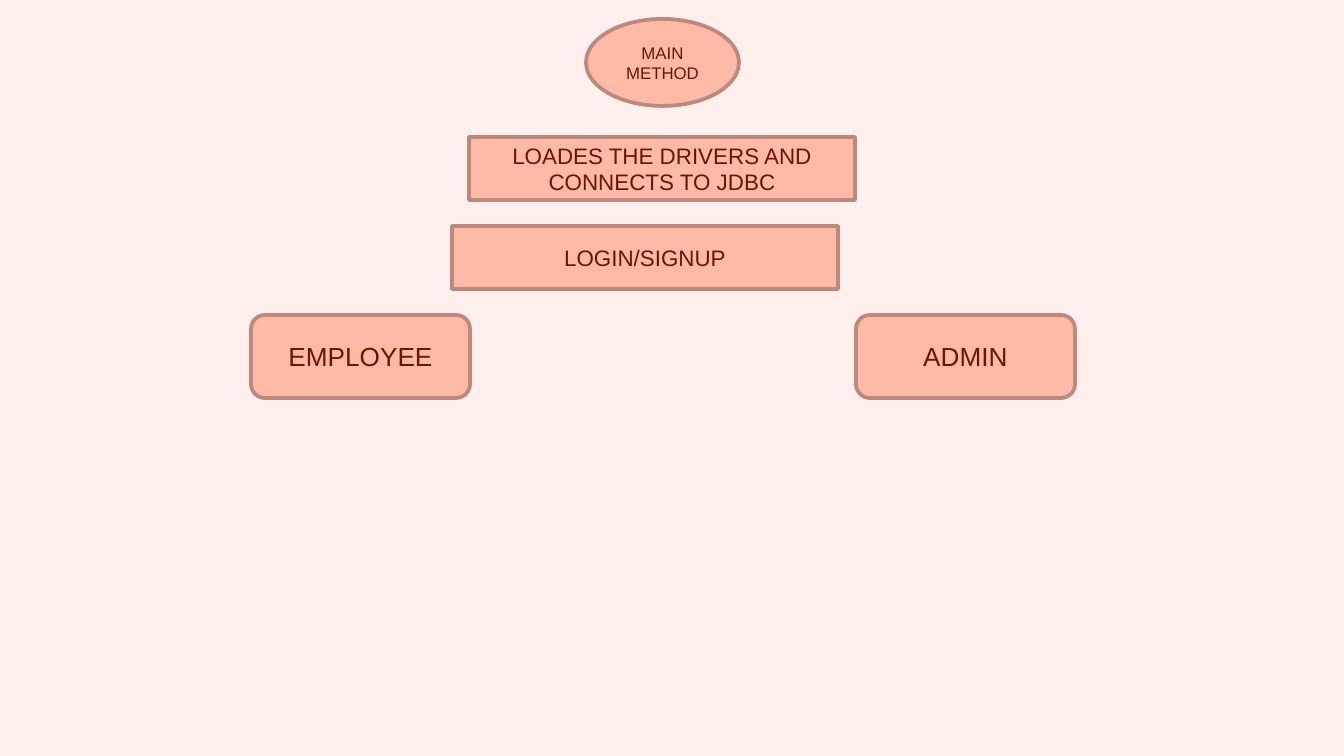
from pptx import Presentation
from pptx.dml.color import RGBColor
from pptx.enum.shapes import MSO_SHAPE
from pptx.enum.text import MSO_ANCHOR, PP_ALIGN
from pptx.util import Pt

PX = 914400 / 134.4
COLORS = {"background": "FFF0ED", "fill": "FFB9A7", "line": "BD897C", "text": "6A1600"}


def emu(px):
    return round(px * PX)


def color(name):
    return RGBColor.from_string(COLORS[name])


def add_node(slide, kind, box, label, size):
    node = slide.shapes.add_shape(kind, *map(emu, box))
    node.shadow.inherit = False
    node.fill.solid()
    node.fill.fore_color.rgb = color("fill")
    node.line.color.rgb = color("line")
    node.line.width = Pt(2)

    frame = node.text_frame
    frame.word_wrap = True
    frame.vertical_anchor = MSO_ANCHOR.MIDDLE
    paragraph = frame.paragraphs[0]
    paragraph.text = label
    paragraph.alignment = PP_ALIGN.CENTER
    paragraph.font.name = "Arial"
    paragraph.font.size = Pt(size)
    paragraph.font.color.rgb = color("text")


def add_startup_steps(slide, left, top):
    """Place the entry point and the two steps that follow it."""
    step_width, step_height = 386, 63
    add_node(slide, MSO_SHAPE.OVAL, (left + 134, top, 153, 87), "MAIN METHOD", 9)
    add_node(slide, MSO_SHAPE.RECTANGLE, (left + 17, top + 118, step_width, step_height),
             "LOADES THE DRIVERS AND CONNECTS TO JDBC", 12)
    add_node(slide, MSO_SHAPE.RECTANGLE, (left, top + 207, step_width, step_height),
             "LOGIN/SIGNUP", 12)


def add_roles(slide, left, top, width, height):
    """Place one role at each end of the row."""
    role_width = 219
    for role, offset in (("EMPLOYEE", 0), ("ADMIN", width - role_width)):
        add_node(slide, MSO_SHAPE.ROUNDED_RECTANGLE,
                 (left + offset, top, role_width, height), role, 14)


def main():
    presentation = Presentation()
    presentation.slide_width = emu(1344)
    presentation.slide_height = emu(756)
    slide = presentation.slides.add_slide(presentation.slide_layouts[6])
    slide.background.fill.solid()
    slide.background.fill.fore_color.rgb = color("background")

    add_startup_steps(slide, 452, 19)
    add_roles(slide, 251, 315, 824, 83)
    presentation.save("out.pptx")


if __name__ == "__main__":
    main()
